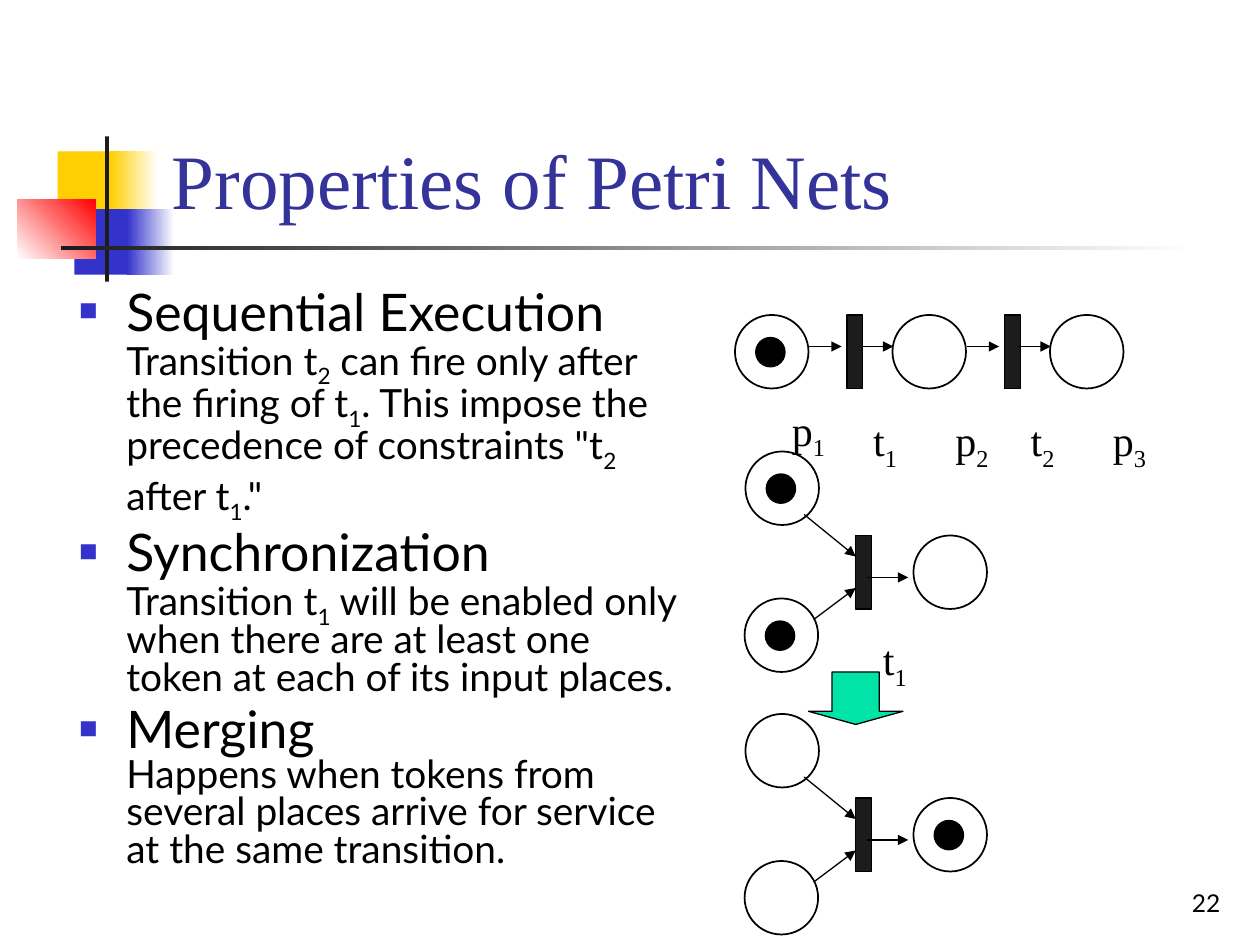
from lxml.etree import SubElement
from pptx import Presentation
from pptx.dml.color import RGBColor
from pptx.enum.shapes import MSO_CONNECTOR, MSO_SHAPE
from pptx.enum.text import MSO_ANCHOR, MSO_AUTO_SIZE, PP_ALIGN
from pptx.oxml.ns import qn
from pptx.util import Pt

COLORS = {
    "yellow": "FFCF01", "blue": "3333CC", "red": "FF0000", "white": "FFFFFF",
    "dark": "1C1C1C", "black": "000000", "title": "333399", "green": "00E4A8",
}
SERIF, SANS = "Times New Roman", "Lato"
PLACE, BAR, TOKEN = 42, 9, 16.5  # place diameter, bar width, token diameter

BODY_ITEMS = [
    ("Sequential Execution",
     'Transition t_2 can fire only after the firing of t_1. '
     'This impose the precedence of constraints "t_2 after t_1."'),
    ("Synchronization",
     "Transition t_1 will be enabled only when there are at least one "
     "token at each of its input places."),
    ("Merging",
     "Happens when tokens from several places arrive for service "
     "at the same transition."),
]


def rgb(name):
    return RGBColor.from_string(COLORS[name])


def set_attributes(target, values):
    for name, value in values.items():
        setattr(target, name, value)


def move(shape, box):
    set_attributes(shape, dict(zip(("left", "top", "width", "height"), map(Pt, box))))


def add_run(paragraph, text, size, font, color="black", subscript=False):
    run = paragraph.add_run()
    run.text = text
    set_attributes(run.font, {"name": font, "size": Pt(size)})
    run.font.color.rgb = rgb(color)
    if subscript:
        run._r.get_or_add_rPr().set("baseline", "-25000")


def add_subscripted(paragraph, text, size, font):
    """Write text in which the character after each underscore is a subscript."""
    first, *others = text.split("_")
    add_run(paragraph, first, size, font)
    for part in others:
        add_run(paragraph, part[0], size, font, subscript=True)
        if part[1:]:
            add_run(paragraph, part[1:], size, font)


def add_shape(slide, kind, box, fill=None, line=None, width=0.75):
    shape = slide.shapes.add_shape(kind, *map(Pt, box))
    shape.shadow.inherit = False
    if fill:
        shape.fill.solid()
        shape.fill.fore_color.rgb = rgb(fill)
    else:
        shape.fill.background()
    if line:
        shape.line.color.rgb = rgb(line)
        shape.line.width = Pt(width)
    else:
        shape.line.fill.background()
    return shape


def add_fade(slide, box, start, end, angle=0):
    fill = add_shape(slide, MSO_SHAPE.RECTANGLE, box).fill
    fill.gradient()
    fill.gradient_angle = angle
    for stop, color in zip(fill.gradient_stops, (start, end)):
        stop.color.rgb = rgb(color)


def add_place(slide, left, top, marked=False):
    add_shape(slide, MSO_SHAPE.OVAL, (left, top, PLACE, PLACE), None, "black", 1)
    if marked:
        add_shape(slide, MSO_SHAPE.OVAL, (left + 12, top + 13, TOKEN, TOKEN),
                  "black", "black", 1)


def add_transition(slide, left, top):
    add_shape(slide, MSO_SHAPE.RECTANGLE, (left, top, BAR, PLACE), "dark", "black")


def add_arrow(slide, *ends):
    connector = slide.shapes.add_connector(MSO_CONNECTOR.STRAIGHT, *map(Pt, ends))
    connector.line.color.rgb = rgb("black")
    connector.line.width = Pt(0.75)
    SubElement(connector.line._get_or_add_ln(), qn("a:tailEnd"), type="triangle")
    SubElement(connector._element.spPr, qn("a:effectLst"))


def add_text_box(slide, box, **frame_format):
    frame = slide.shapes.add_textbox(*map(Pt, box)).text_frame
    set_attributes(frame, {"word_wrap": True, **frame_format})
    return frame.paragraphs[0]


def add_label(slide, text, left, top):
    margins = dict.fromkeys(("margin_left", "margin_top", "margin_right", "margin_bottom"), 0)
    add_subscripted(add_text_box(slide, (left, top, 28, 30), **margins), text, 24, SERIF)


def add_decoration(slide, box):
    left, top, width, height = box
    for x, y, block_width, color in ((23, 8.5, 34.5, "yellow"), (32.5, 41.5, 33, "blue")):
        add_shape(slide, MSO_SHAPE.RECTANGLE, (left + x, top + y, block_width, 37.5), color)
        add_fade(slide, (left + x + 30, top + y, 27, 37.5), color, "white")
    add_fade(slide, (left, top + 36, 44.5, 33.5), "white", "red", 45)
    add_shape(slide, MSO_SHAPE.RECTANGLE, (left + 50, top, 2.25, height), "dark")
    add_fade(slide, (left + 25, top + 62.5, width - 25, 2.25), "dark", "white")


def add_title(slide, box):
    title = slide.shapes.title
    slide.shapes.element.append(title.element)  # in front of the decoration
    move(title, box)
    set_attributes(title.text_frame, {"vertical_anchor": MSO_ANCHOR.BOTTOM,
                                      "auto_size": MSO_AUTO_SIZE.NONE})
    paragraph = title.text_frame.paragraphs[0]
    paragraph.alignment = PP_ALIGN.LEFT
    add_run(paragraph, "Properties of Petri Nets", 44, SERIF, "title")


def add_bullet(paragraph):
    properties = paragraph._p.get_or_add_pPr()
    properties.set("marL", str(Pt(27)))
    properties.set("indent", str(-Pt(27)))
    color = SubElement(properties, qn("a:buClr"))
    SubElement(color, qn("a:srgbClr"), val=COLORS["blue"])
    SubElement(properties, qn("a:buSzPct"), val="60000")
    SubElement(properties, qn("a:buFont"), typeface="Arial")
    SubElement(properties, qn("a:buChar"), char="■")


def add_body(slide, box):
    body = slide.placeholders[1]
    move(body, box)
    frame = body.text_frame
    frame.auto_size = MSO_AUTO_SIZE.NONE
    for index, (heading, text) in enumerate(BODY_ITEMS):
        paragraph = frame.add_paragraph() if index else frame.paragraphs[0]
        set_attributes(paragraph, {"line_spacing": 0.8, "space_before": Pt(6)})
        add_bullet(paragraph)
        add_run(paragraph, heading, 29.6, SANS)
        paragraph.add_line_break()
        add_subscripted(paragraph, text, 22.2, SANS)
        if index == 0:
            add_run(paragraph, " ", 29.6, SANS)  # keeps the last line tall


def add_sequence_net(slide, box):
    left, top, width, _ = box
    pitch = (width - PLACE) / 2
    for index in range(3):
        x = left + index * pitch
        add_place(slide, x, top, marked=index == 0)
        if index < 2:
            add_transition(slide, x + 64, top)
            for start, end in ((42.5, 61), (72, 90.5)):
                add_arrow(slide, x + start, top + 18, x + end, top + 18)
            add_label(slide, f"t_{index + 1}", x + 79, top + 57)
        add_label(slide, f"p_{index + 1}", x + (36 if index else 32.5),
                  top + (57 if index else 51))


def add_merge_net(slide, box, fired):
    left, top, width, height = box
    middle = top + (height - PLACE) / 2 + 6 - 6
    add_place(slide, left + 0.5, top, not fired)
    add_place(slide, left, top + height - PLACE, not fired)
    add_place(slide, left + width - PLACE, top + 48, fired)
    add_transition(slide, left + 63.5, top + 48)
    for x1, y1, x2, y2 in ((34, 36, 63.5, 60), (39.5, 96, 63.5, 78), (70, 72, 93.5, 72)):
        add_arrow(slide, left + x1, top + y1, left + x2, top + y2)


def add_slide_number(slide, box):
    paragraph = add_text_box(slide, box, vertical_anchor=MSO_ANCHOR.BOTTOM)
    paragraph.alignment = PP_ALIGN.RIGHT
    add_run(paragraph, "22", 14, SANS)


def main():
    presentation = Presentation()
    presentation.slide_width, presentation.slide_height = Pt(720), Pt(540)
    slide = presentation.slides.add_slide(presentation.slide_layouts[1])
    # Heading and list
    add_decoration(slide, (10, 78, 673, 83))
    add_title(slide, (91, 16.5, 613.5, 115.5))
    add_body(slide, (38, 163, 359.5, 345.5))
    # Petri nets: sequence, then merging before and after firing
    add_sequence_net(slide, (420, 180, 222, 42))
    add_merge_net(slide, (425.5, 258, 138.5, 126), fired=False)
    add_label(slide, "t_1", 504.5, 362)
    add_shape(slide, MSO_SHAPE.DOWN_ARROW, (462, 384, 54, 30), "green", "black").adjustments[1] = 0.25
    add_merge_net(slide, (425.5, 408, 138.5, 126), fired=True)
    add_slide_number(slide, (554.5, 492, 150, 36))
    presentation.save("out.pptx")


if __name__ == "__main__":
    main()
